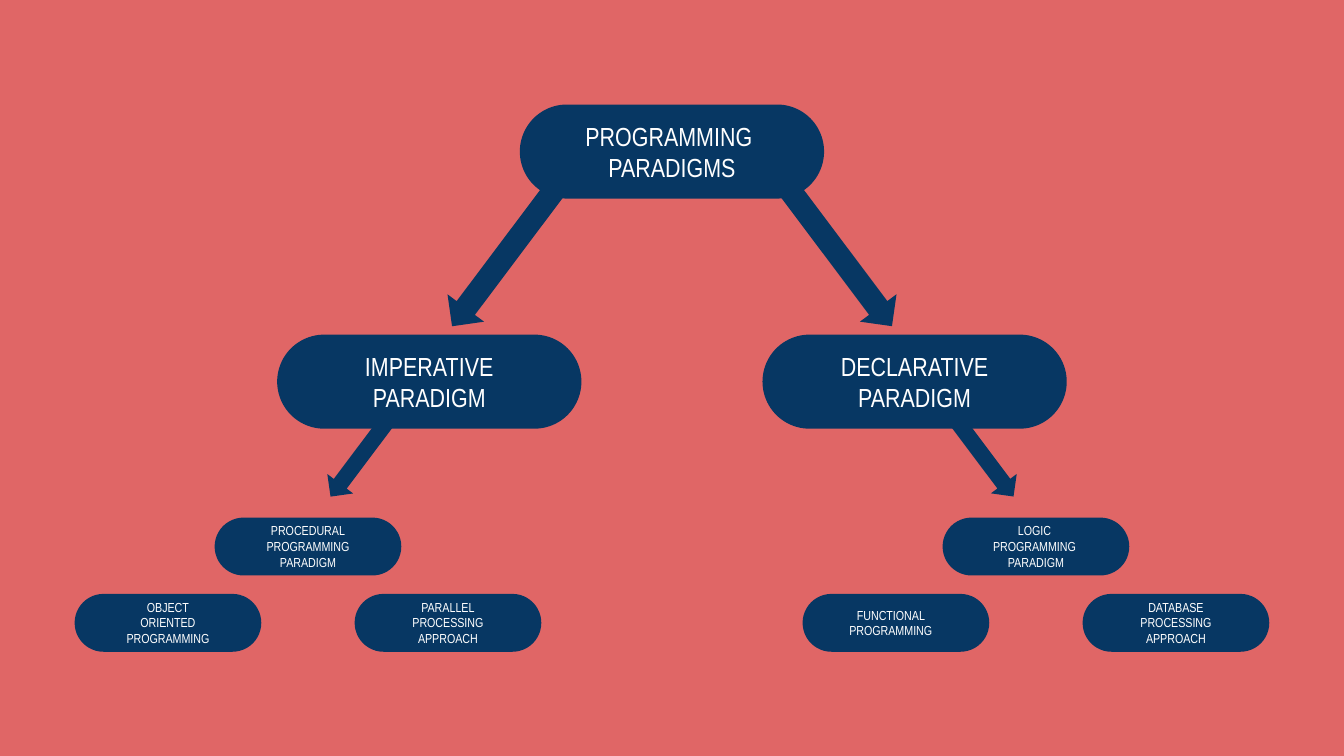
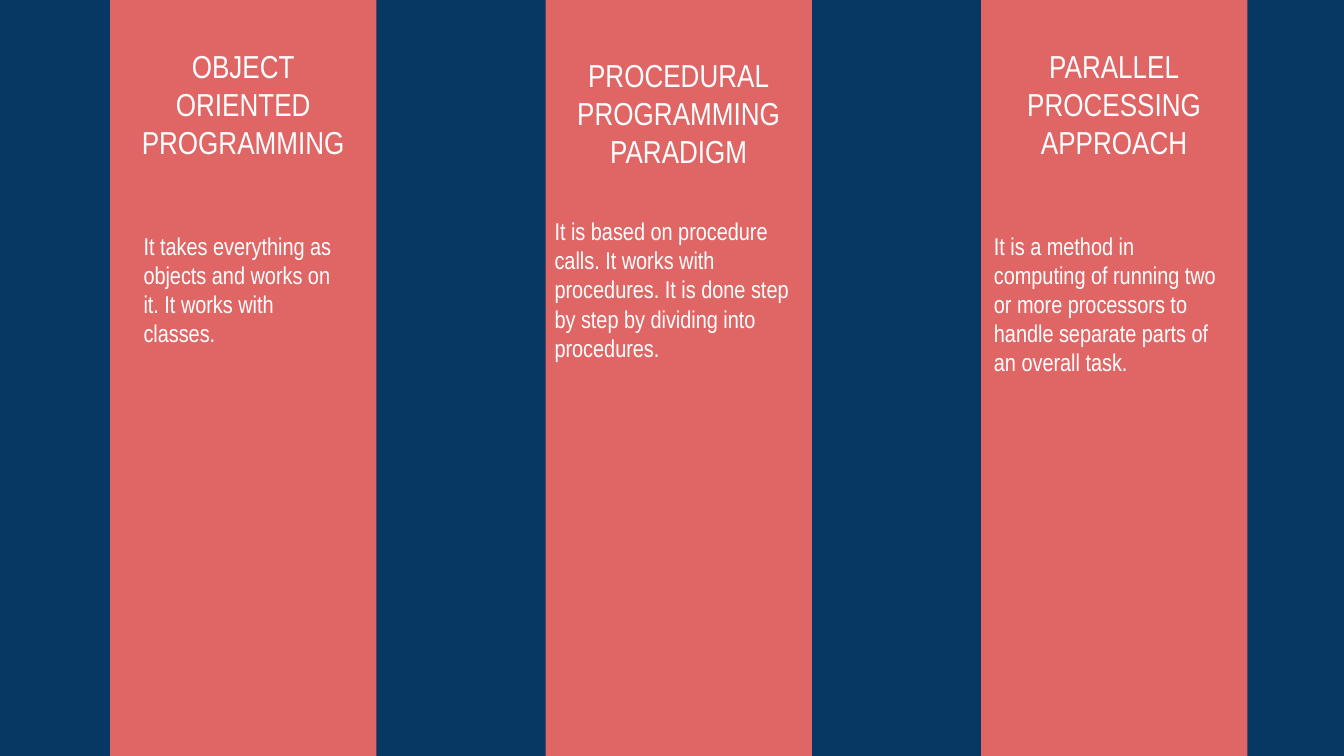
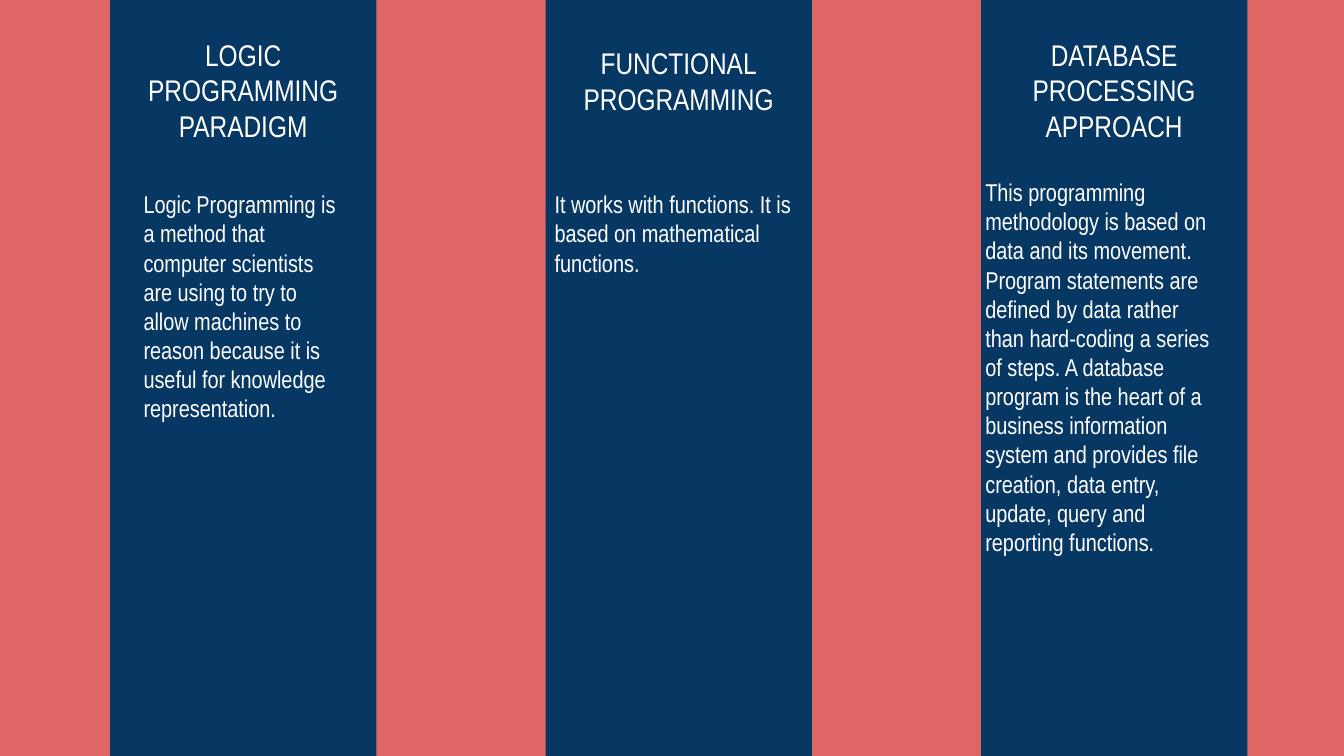
from dataclasses import dataclass

import pptx
import pptx.dml.color
import pptx.enum.shapes
import pptx.enum.text
import pptx.util

Pt = pptx.util.Pt
SHAPES = pptx.enum.shapes.MSO_SHAPE
ALIGN = pptx.enum.text.PP_ALIGN


@dataclass(frozen=True)
class Theme:
    coral: str = "E06666"
    navy: str = "073763"
    white: str = "FFFFFF"
    font: str = "Arial Narrow"
    main_size: int = 14
    leaf_size: int = 7
    body_size: int = 13
    line_height: float = 1.21
    inset: float = 7.2


THEME = Theme()
WIDTH, HEIGHT = 720, 405
CENTER = WIDTH / 2
LABEL_WIDTH = 401

# Pill sizes and the geometry of the tree
MAIN_PILL = (163, 50.4)
LEAF_PILL = (100, 31)
ROOT_Y, BRANCH_Y, LEAF_Y, LOW_LEAF_Y = 81.2, 204.5, 292.8, 333.7
BRANCH_DX, LEAF_DX, LEAF_SPREAD = 130, 195, 75

# Columns of the detail slides
COLUMN_LEFT, COLUMN_STEP, COLUMN_WIDTH = 59, 233.3, 142.6


def add_block(s, kind, left, top, width, height, color):
    sp = s.shapes.add_shape(kind, Pt(left), Pt(top), Pt(width), Pt(height))
    sp.shadow.inherit = False
    sp.fill.solid()
    sp.fill.fore_color.rgb = pptx.dml.color.RGBColor.from_string(color)
    sp.line.fill.background()
    return sp


def add_text(s, lines, left, top, width, height, size, align):
    tf = s.shapes.add_textbox(Pt(left), Pt(top), Pt(width), Pt(height)).text_frame
    tf.word_wrap = True
    tf.auto_size = pptx.enum.text.MSO_AUTO_SIZE.SHAPE_TO_FIT_TEXT
    tf.margin_left = tf.margin_right = Pt(THEME.inset)
    tf.margin_top = tf.margin_bottom = Pt(THEME.inset)
    for i, line in enumerate(lines):
        p = tf.add_paragraph() if i else tf.paragraphs[0]
        p.text = line
        p.alignment = align
        p.font.name = THEME.font
        p.font.size = Pt(size)
        p.font.color.rgb = pptx.dml.color.RGBColor.from_string(THEME.white)


def label_height(lines, size):
    return len(lines) * size * THEME.line_height + 2 * THEME.inset


def add_label(s, lines, x, top, size):
    """Centred lines around x."""
    add_text(s, lines, x - LABEL_WIDTH / 2, top, LABEL_WIDTH,
             label_height(lines, size), size, ALIGN.CENTER)


def add_pill(s, lines, x, y, pill, size, label_dx=0):
    """Rounded pill centred on (x, y) with its label."""
    width, height = pill
    sp = add_block(s, SHAPES.ROUNDED_RECTANGLE, x - width / 2, y - height / 2,
                   width, height, THEME.navy)
    sp.adjustments[0] = 0.5
    add_label(s, lines, x + label_dx, y - label_height(lines, size) / 2, size)


def add_arrow_pair(s, dx, y, width, length):
    """Two mirrored arrows pointing down and outwards."""
    for side, angle in ((-1, 216.9), (1, 143.1)):
        sp = add_block(s, SHAPES.UP_ARROW, CENTER + side * dx - width / 2,
                       y - length / 2, width, length, THEME.navy)
        sp.rotation = angle


def new_slide(prs, color):
    s = prs.slides.add_slide(prs.slide_layouts[6])
    add_block(s, SHAPES.RECTANGLE, 0, 0, WIDTH, HEIGHT, color)
    return s


def tree_slide(prs):
    s = new_slide(prs, THEME.coral)
    add_arrow_pair(s, 89.3, 136.8, 24.5, 95)
    add_arrow_pair(s, 162.4, 238.7, 17.3, 68.4)

    # Root and the two branches
    for lines, dx, y in (
        (["PROGRAMMING ", "PARADIGMS"], 0, ROOT_Y),
        (["IMPERATIVE", "PARADIGM"], -BRANCH_DX, BRANCH_Y),
        (["DECLARATIVE", "PARADIGM"], BRANCH_DX, BRANCH_Y),
    ):
        add_pill(s, lines, CENTER + dx, y, MAIN_PILL, THEME.main_size)

    # Leaves: one raised in the middle, one lower on each side
    for side, leaves in (
        (-1, ((["OBJECT", "ORIENTED", "PROGRAMMING"], 0),
              (["PROCEDURAL", "PROGRAMMING", "PARADIGM"], 0),
              (["PARALLEL", "PROCESSING", "APPROACH"], 0))),
        (1, ((["FUNCTIONAL ", "PROGRAMMING "], -2),
             (["LOGIC ", "PROGRAMMING ", "PARADIGM"], 0),
             (["DATABASE", "PROCESSING", "APPROACH"], 0))),
    ):
        for i, (lines, label_dx) in enumerate(leaves):
            x = CENTER + side * LEAF_DX + (i - 1) * LEAF_SPREAD
            y = LEAF_Y if i == 1 else LOW_LEAF_Y
            add_pill(s, lines, x, y, LEAF_PILL, THEME.leaf_size, label_dx)


def columns_slide(prs, back, front, heading_size, columns):
    """Columns of (heading lines, heading top, body text, body box)."""
    s = new_slide(prs, back)
    for i, (heading, heading_top, body, box) in enumerate(columns):
        left = COLUMN_LEFT + i * COLUMN_STEP
        add_block(s, SHAPES.RECTANGLE, left, 0, COLUMN_WIDTH, HEIGHT, front)
        add_label(s, heading, left + COLUMN_WIDTH / 2, heading_top, heading_size)
        add_text(s, [body], *box, THEME.body_size, ALIGN.LEFT)


def main():
    prs = pptx.Presentation()
    prs.slide_width, prs.slide_height = Pt(WIDTH), Pt(HEIGHT)

    tree_slide(prs)

    # Imperative paradigms
    columns_slide(prs, THEME.navy, THEME.coral, 17, (
        (["OBJECT", "ORIENTED", "PROGRAMMING"], 18,
         "It takes everything as objects and works on it. It works with classes.",
         (69.8, 116.6, 121, 78)),
        (["PROCEDURAL", "PROGRAMMING", "PARADIGM"], 22.5,
         "It is based on procedure calls. It works with procedures. "
         "It is done step by step by dividing into procedures.",
         (290, 108.7, 147, 93.6)),
        (["PARALLEL", "PROCESSING", "APPROACH"], 18,
         "It is a method in computing of running two or more processors "
         "to handle separate parts of an overall task.",
         (525.4, 116.6, 139, 93.6)),
    ))

    # Declarative paradigms
    columns_slide(prs, THEME.coral, THEME.navy, 16, (
        (["LOGIC", "PROGRAMMING", "PARADIGM"], 12.2,
         "Logic Programming is a method that computer scientists are using "
         "to try to allow machines to reason because it is useful for "
         "knowledge representation.",
         (69.8, 94.3, 121, 140.4)),
        (["FUNCTIONAL", "PROGRAMMING"], 16.6,
         "It works with functions. It is based on mathematical functions.",
         (290, 94.3, 147, 62)),
        (["DATABASE", "PROCESSING", "APPROACH"], 12.2,
         "This programming methodology is based on data and its movement. "
         "Program statements are defined by data rather than hard-coding a "
         "series of steps. A database program is the heart of a business "
         "information system and provides file creation, data entry, update, "
         "query and reporting functions.",
         (520.8, 87.8, 139, 235.4)),
    ))

    prs.save("out.pptx")


if __name__ == "__main__":
    main()
